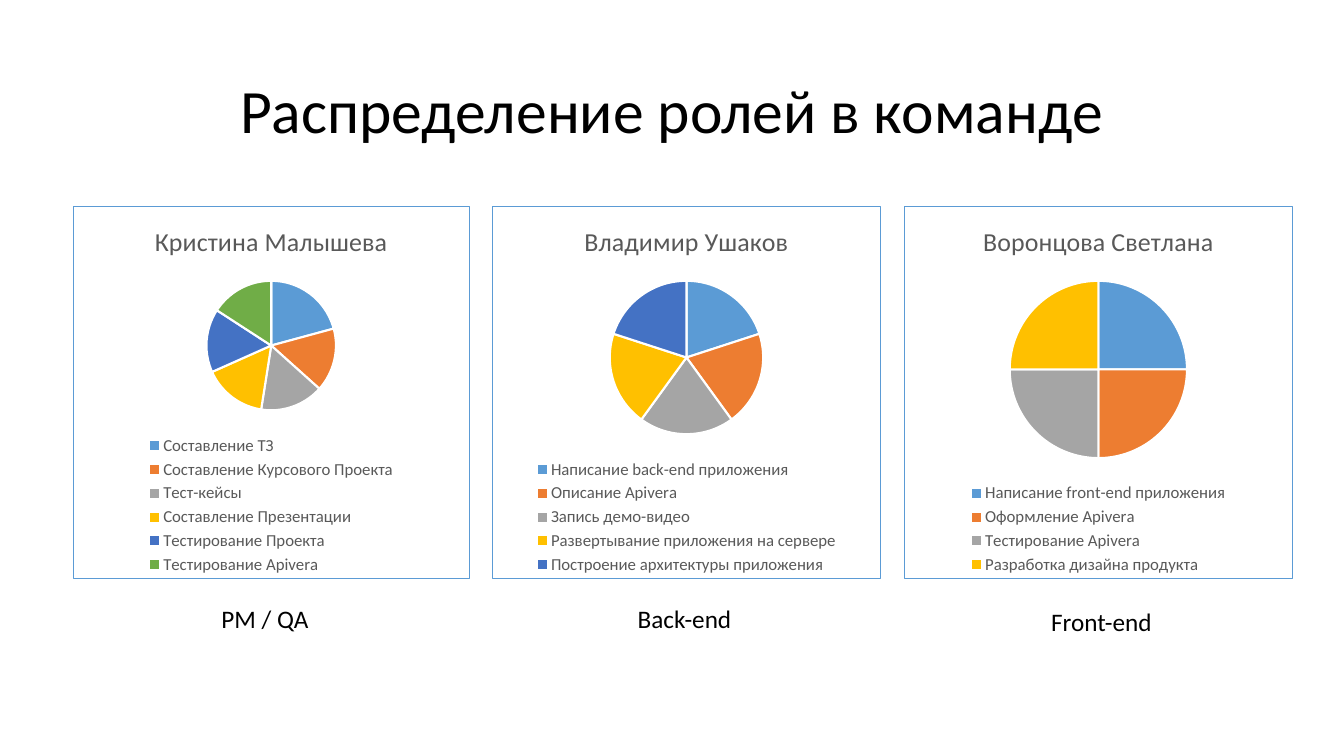
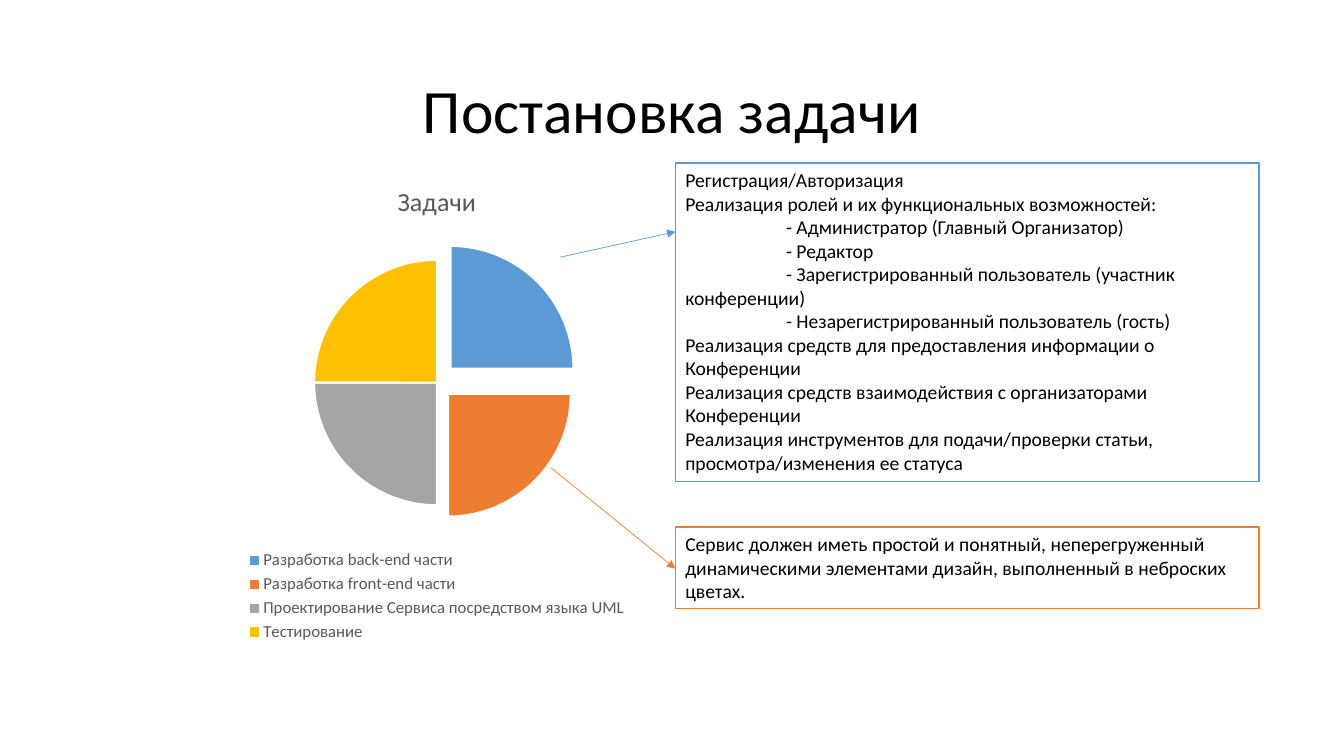
import lxml.etree
import pptx
import pptx.chart.data
import pptx.dml.color
import pptx.enum.chart
import pptx.enum.shapes
import pptx.enum.text
import pptx.oxml.ns
import pptx.util

Cm, Pt = pptx.util.Cm, pptx.util.Pt
qn = pptx.oxml.ns.qn
ALIGN = pptx.enum.text.PP_ALIGN
ANCHOR = pptx.enum.text.MSO_ANCHOR

# Shared style
FONT = "Calibri"
BLACK, GREY, WHITE = "000000", "595959", "FFFFFF"
BLUE, ORANGE = "5B9BD5", "ED7D31"
SLICES = [BLUE, ORANGE, "A5A5A5", "FFC000", "4472C4", "70AD47"]

# Name, values by task, role, chart left and width, label offset
TEAM = [
    ("Кристина Малышева",
     {"Составление ТЗ": 21, "Составление Курсового Проекта": 16,
      "Тест-кейсы": 16, "Составление Презентации": 16,
      "Тестирование Проекта": 16, "Тестирование Apivera": 16},
     "РМ / QA", 1.83, 10.01, (3.5, 9.91)),
    ("Владимир Ушаков",
     {"Написание back-end приложения": 20, "Описание Apivera": 20,
      "Запись демо-видео": 20, "Развертывание приложения на сервере": 20,
      "Построение архитектуры приложения": 20},
     "Back-end", 12.4, 9.8, (3.42, 9.91)),
    ("Воронцова Светлана",
     {"Написание front-end приложения": 25, "Оформление Apivera": 25,
      "Тестирование Apivera": 25, "Разработка дизайна продукта": 25},
     "Front-end", 22.78, 9.8, (3.46, 9.98)),
]
TASKS = {"Разработка back-end части": 25, "Разработка front-end части": 25,
         "Проектирование Сервиса посредством языка UML": 25,
         "Тестирование": 25}
# Lines starting with a dash are indented
BACK = [
    "Регистрация/Авторизация",
    "Реализация ролей и их функциональных возможностей:",
    "- Администратор (Главный Организатор)",
    "- Редактор",
    "- Зарегистрированный пользователь (участник конференции)",
    "- Незарегистрированный пользователь (гость)",
    "Реализация средств для предоставления информации о Конференции",
    "Реализация средств взаимодействия с организаторами Конференции",
    "Реализация инструментов для подачи/проверки статьи, "
    "просмотра/изменения ее статуса",
]
FRONT = ["Сервис должен иметь простой и понятный, неперегруженный "
         "динамическими элементами дизайн, выполненный в неброских цветах."]


def rgb(code):
    return pptx.dml.color.RGBColor.from_string(code)


def style(font, size, color=BLACK):
    font.name, font.size, font.bold = FONT, Pt(size), False
    font.color.rgb = rgb(color)


def place(box):
    return [Cm(length) for length in box]


def add_slide(deck, text):
    """Add a title-only slide with the shared title."""
    slide = deck.slides.add_slide(deck.slide_layouts[5])
    title = slide.shapes.title
    title.left, title.top, title.width, title.height = place(
        (2.33, 1.01, 29.21, 3.68))
    title.text_frame.text = text
    title.text_frame.vertical_anchor = ANCHOR.MIDDLE
    para = title.text_frame.paragraphs[0]
    para.alignment, para.line_spacing = ALIGN.CENTER, 0.9
    style(para.font, 44)
    return slide


def frame(chart, color):
    """Give the chart area no fill and an optional outline."""
    area = lxml.etree.Element(qn("c:spPr"))
    lxml.etree.SubElement(area, qn("a:noFill"))
    line = lxml.etree.SubElement(area, qn("a:ln"), w=str(Pt(0.75)))
    if color:
        fill = lxml.etree.SubElement(line, qn("a:solidFill"))
        lxml.etree.SubElement(fill, qn("a:srgbClr"), val=color)
    else:
        lxml.etree.SubElement(line, qn("a:noFill"))
    chart._chartSpace.find(qn("c:chart")).addnext(area)


def add_pie(slide, box, name, values, border=None, burst=()):
    data = pptx.chart.data.CategoryChartData()
    data.categories = list(values)
    data.add_series(name, list(values.values()))
    chart = slide.shapes.add_chart(
        pptx.enum.chart.XL_CHART_TYPE.PIE, *place(box), data).chart
    style(chart.font, 10)
    frame(chart, border)

    # Title and legend
    chart.has_title = True
    chart.chart_title.include_in_layout = False
    chart.chart_title.text_frame.text = name
    style(chart.chart_title.text_frame.paragraphs[0].font, 18.6, GREY)
    chart.has_legend = True
    chart.legend.position = pptx.enum.chart.XL_LEGEND_POSITION.BOTTOM
    chart.legend.include_in_layout = False
    style(chart.legend.font, 12, GREY)

    # Slices
    plot = chart.plots[0]
    plot.vary_by_categories = True
    series = plot.series[0]
    for index, color in enumerate(SLICES[:len(values)]):
        form = series.points[index].format
        form.fill.solid()
        form.fill.fore_color.rgb = rgb(color)
        form.line.color.rgb = rgb(WHITE)
        form.line.width = Pt(1.5)
    points = series._element.findall(qn("c:dPt"))
    for point, shift in zip(points, burst):
        pull = lxml.etree.Element(qn("c:explosion"), val=str(shift))
        point.find(qn("c:spPr")).addprevious(pull)


def add_label(slide, left, top, text):
    label = slide.shapes.add_textbox(*place((left, top, 3.4, 1.03)))
    label.text_frame.word_wrap = False
    label.text_frame.text = text
    para = label.text_frame.paragraphs[0]
    para.alignment = ALIGN.LEFT
    style(para.font, 18)


def add_note(slide, box, lines, color):
    """Add an outlined box of left-aligned text."""
    note = slide.shapes.add_shape(
        pptx.enum.shapes.MSO_SHAPE.RECTANGLE, *place(box))
    note.shadow.inherit = False
    note.fill.solid()
    note.fill.fore_color.rgb = rgb(WHITE)
    note.line.color.rgb = rgb(color)
    note.line.width = Pt(1)
    text = note.text_frame
    text.word_wrap, text.vertical_anchor = True, ANCHOR.TOP
    text.text = "\n".join(lines)
    for para in text.paragraphs:
        para.alignment = ALIGN.LEFT
        style(para.font, 14)
        if para.text.startswith("-"):
            para._p.get_or_add_pPr().set("indent", str(Cm(2.54)))


def add_arrow(slide, start, end, color):
    arrow = slide.shapes.add_connector(
        pptx.enum.shapes.MSO_CONNECTOR.STRAIGHT, *place(start + end))
    arrow.line.color.rgb = rgb(color)
    arrow.line.width = Pt(0.5)
    lxml.etree.SubElement(arrow.line._get_or_add_ln(), qn("a:tailEnd"),
                          type="triangle")
    lxml.etree.SubElement(arrow._element.spPr, qn("a:effectLst"))


def add_member(slide, box, name, values, role, shift):
    """One team member: framed pie with the role below."""
    add_pie(slide, box, name, values, border=BLUE)
    add_label(slide, box[0] + shift[0], box[1] + shift[1], role)


def add_tasks(slide, left, top):
    """Task pie with two notes tied to its pulled slices."""
    add_pie(slide, (left, top, 16.08, 12.17), "Задачи", TASKS,
            burst=(16, 13))
    side = left + 14.05
    # Text, colour, note top and height, arrow start and end height
    notes = [(BACK, BLUE, 0, 8.03, (11.15, 2.37), 1.73),
             (FRONT, ORANGE, 9.17, 2.06, (10.92, 7.68), 10.22)]
    for lines, color, drop, height, start, end in notes:
        add_note(slide, (side, top + drop, 14.71, height), lines, color)
        add_arrow(slide, (left + start[0], top + start[1]),
                  (side, top + end), color)


def main():
    deck = pptx.Presentation()
    deck.slide_width, deck.slide_height = Cm(33.87), Cm(19.05)

    slide = add_slide(deck, "Распределение ролей в команде")
    for name, values, role, left, width, shift in TEAM:
        add_member(slide, (left, 5.18, width, 9.42), name, values, role,
                   shift)

    add_tasks(add_slide(deck, "Постановка задачи"), 2.97, 4.11)
    deck.save("out.pptx")


if __name__ == "__main__":
    main()
